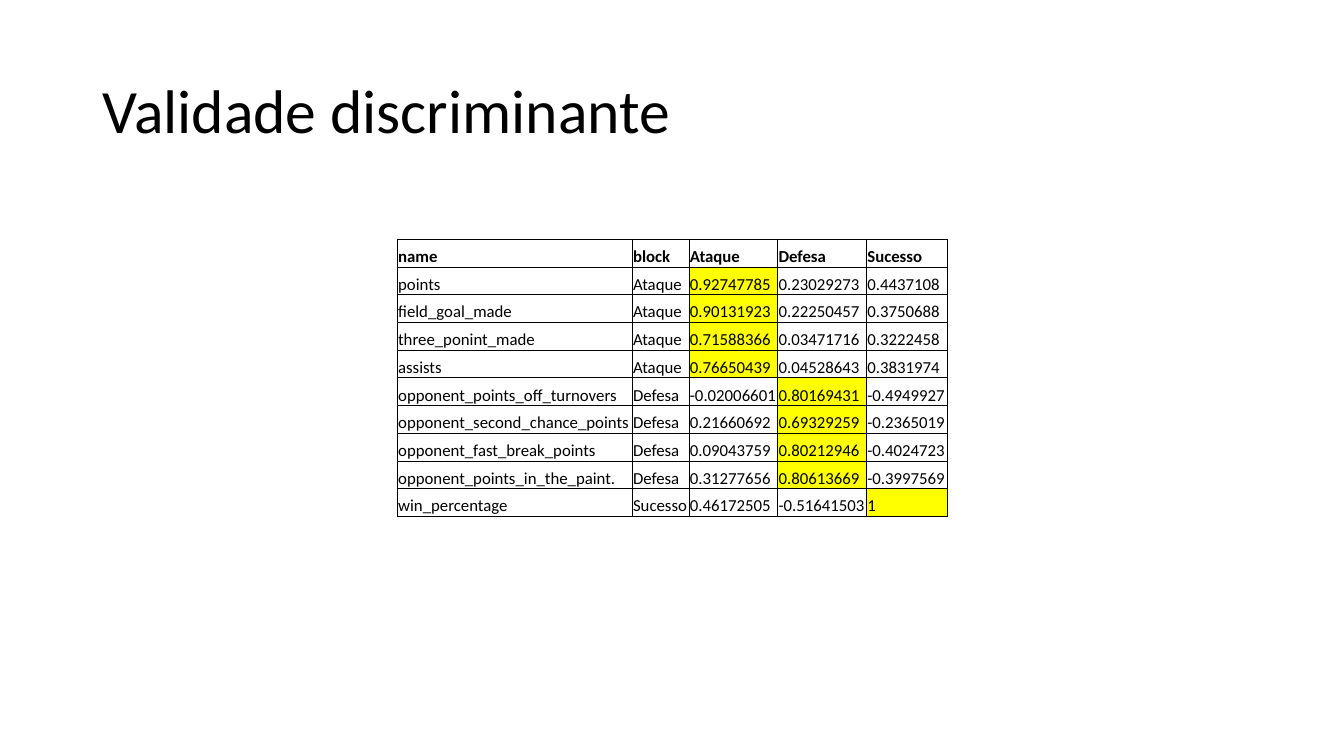
from lxml.etree import SubElement
from pptx import Presentation
from pptx.dml.color import RGBColor
from pptx.enum.text import MSO_ANCHOR, MSO_AUTO_SIZE, PP_ALIGN
from pptx.oxml.ns import qn
from pptx.util import Pt


def paint(color, code):
    color.rgb = RGBColor.from_string(code)


def style(para, size, bold):
    for key, value in {"name": "Calibri", "size": Pt(size), "bold": bold}.items():
        setattr(para.font, key, value)
    paint(para.font.color, "000000")
    para.alignment = PP_ALIGN.LEFT


deck = Presentation()
deck.slide_width, deck.slide_height = Pt(960), Pt(540)
slide = deck.slides.add_slide(deck.slide_layouts[5])

title = slide.shapes.title
place = {"left": 66, "top": 28.75, "width": 828, "height": 104.38}
for key, value in place.items():
    setattr(title, key, Pt(value))
frame = title.text_frame
frame.text = "Validade discriminante"
look = {"auto_size": MSO_AUTO_SIZE.NONE, "word_wrap": True,
        "vertical_anchor": MSO_ANCHOR.MIDDLE}
for key, value in look.items():
    setattr(frame, key, value)
style(frame.paragraphs[0], 44, False)
frame.paragraphs[0].line_spacing = 0.9

rows = [
    ("name", "block", "Ataque", "Defesa", "Sucesso"),
    ("points", "Ataque", "0.92747785", "0.23029273", "0.4437108"),
    ("field_goal_made", "Ataque", "0.90131923", "0.22250457", "0.3750688"),
    ("three_ponint_made", "Ataque", "0.71588366", "0.03471716", "0.3222458"),
    ("assists", "Ataque", "0.76650439", "0.04528643", "0.3831974"),
    ("opponent_points_off_turnovers", "Defesa", "-0.02006601", "0.80169431", "-0.4949927"),
    ("opponent_second_chance_points", "Defesa", "0.21660692", "0.69329259", "-0.2365019"),
    ("opponent_fast_break_points", "Defesa", "0.09043759", "0.80212946", "-0.4024723"),
    ("opponent_points_in_the_paint.", "Defesa", "0.31277656", "0.80613669", "-0.3997569"),
    ("win_percentage", "Sucesso", "0.46172505", "-0.51641503", "1"),
]
head = rows[0]
widths = [167.8, 40.6, 63.4, 63.4, 57.8]
high = 19.84
table = slide.shapes.add_table(
    len(rows), len(head), Pt(283.8), Pt(170.8), Pt(sum(widths)), Pt(high * len(rows))
).table
table.first_row = table.horz_banding = False
for col, width in zip(table.columns, widths):
    col.width = Pt(width)

inset = {"margin_left": Pt(0.6), "margin_right": Pt(0.6), "margin_top": Pt(0.6),
         "margin_bottom": 0, "vertical_anchor": MSO_ANCHOR.BOTTOM}
for r, row in enumerate(rows):
    table.rows[r].height = Pt(high)
    for c, text in enumerate(row):
        cell = table.cell(r, c)
        cell.text = text
        for key, value in inset.items():
            setattr(cell, key, value)
        style(cell.text_frame.paragraphs[0], 12, r == 0)
        props = cell._tc.get_or_add_tcPr()
        for side in "LRTB":
            line = SubElement(props, qn("a:ln" + side), w=str(Pt(0.5)))
            solid = SubElement(line, qn("a:solidFill"))
            SubElement(solid, qn("a:srgbClr"), val="000000")
        if row[1] == head[c]and r > 0:
            cell.fill.solid()
            paint(cell.fill.fore_color, "FFFF00")
        else:
            cell.fill.background()

deck.save("out.pptx")
